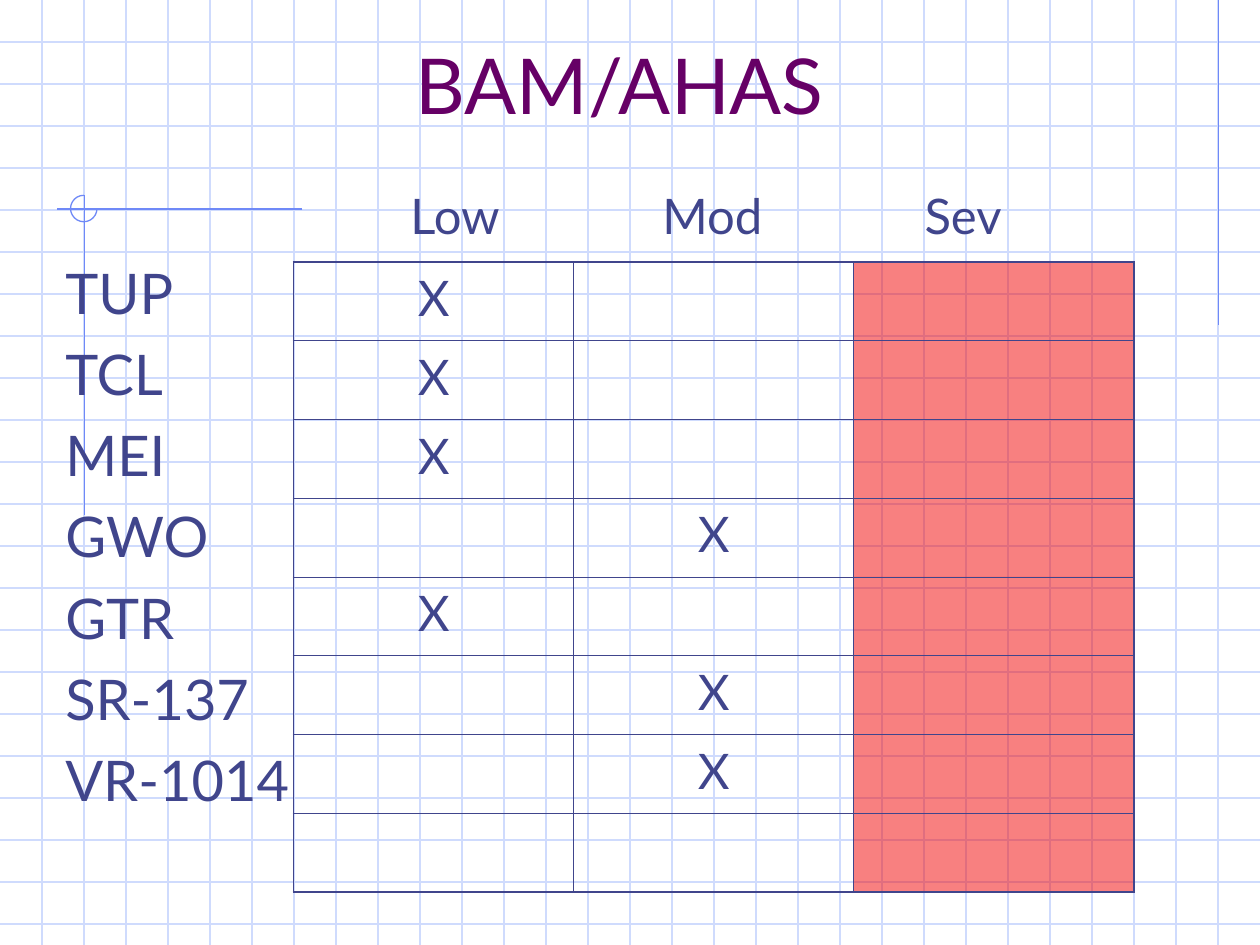
from lxml.etree import SubElement
from pptx import Presentation
from pptx.dml.color import RGBColor
from pptx.enum.shapes import MSO_CONNECTOR, MSO_SHAPE
from pptx.enum.text import MSO_ANCHOR, PP_ALIGN
from pptx.oxml.ns import qn
from pptx.util import Inches, Pt

COLORS = {
    "grid": "CFDBFD",
    "accent": "6F89F7",
    "title": "660066",
    "text": "40458C",
    "severe": "F20202",
}
FONT = "Lato"
WIDTH, HEIGHT = 10, 7.5
LEVELS = ["Low", "Mod", "Sev"]
RATINGS = {
    "TUP": "Low",
    "TCL": "Low",
    "MEI": "Low",
    "GWO": "Mod",
    "GTR": "Low",
    "SR-137": "Mod",
    "VR-1014": "Mod",
}
ROWS = len(RATINGS) + 1  # the last row stays empty
THIN, THICK = 0.45, 1.08


def color(name):
    return RGBColor.from_string(COLORS[name])


def add_line(page, x1, y1, x2, y2, color_name):
    line = page.shapes.add_connector(
        MSO_CONNECTOR.STRAIGHT, Inches(x1), Inches(y1), Inches(x2), Inches(y2))
    line.line.color.rgb = color(color_name)
    line.line.width = Pt(0.75)
    SubElement(line._element.spPr, qn("a:effectLst"))


def style_paragraph(para, size, color_name="text", align=PP_ALIGN.LEFT, before=0):
    para.alignment = align
    para.space_before = Pt(before)
    para.font.name = FONT
    para.font.size = Pt(size)
    para.font.color.rgb = color(color_name)


def add_text(page, left, top, width, height, lines, size, anchor=MSO_ANCHOR.TOP,
             **style):
    box = page.shapes.add_textbox(
        Inches(left), Inches(top), Inches(width), Inches(height))
    frame = box.text_frame
    frame.word_wrap = True
    frame.vertical_anchor = anchor
    frame.text = "\n".join(lines)
    for para in frame.paragraphs:
        style_paragraph(para, size, **style)
    return box


def set_tab_stops(para, stops):
    tab_list = SubElement(para._p.get_or_add_pPr(), qn("a:tabLst"))
    # Tab stops come before the default run properties
    tab_list.getnext() is None and para._p.pPr.insert(
        para._p.pPr.index(para._p.pPr.find(qn("a:defRPr"))), tab_list)
    for stop in stops:
        SubElement(tab_list, qn("a:tab"), pos=str(Inches(stop)), algn="l")


def set_borders(cell, widths):
    # Borders come before the fill, in the order left, right, top, bottom
    properties = cell._tc.get_or_add_tcPr()
    for index, (side, width) in enumerate(zip("LRTB", widths)):
        border = SubElement(properties, qn(f"a:ln{side}"), w=str(Pt(width)))
        fill = SubElement(border, qn("a:solidFill"))
        SubElement(fill, qn("a:srgbClr"), val=COLORS["text"])
        properties.insert(index, border)


def fill_cell(cell, severe):
    if not severe:
        cell.fill.background()
        return
    cell.fill.solid()
    cell.fill.fore_color.rgb = color("severe")
    tint = cell._tc.tcPr.find(".//" + qn("a:srgbClr"))
    SubElement(tint, qn("a:alpha"), val="50000")


def add_background(page):
    # Grid of squares, three to the inch
    for step in range(1, int(HEIGHT * 3) + 1):
        add_line(page, 0, step / 3, WIDTH, step / 3, "grid")
    for step in range(1, WIDTH * 3):
        add_line(page, step / 3, 0, step / 3, HEIGHT, "grid")

    # Accent lines
    add_line(page, 9.67, 0, 9.67, 2.58, "accent")
    add_line(page, 2.4, 1.66, 0.45, 1.66, "accent")
    add_line(page, 0.67, 1.55, 0.67, 4.09, "accent")

    # Three-quarter ring where the accent lines cross
    ring = page.shapes.add_shape(
        MSO_SHAPE.ARC, Inches(0.56), Inches(1.55), Inches(0.21), Inches(0.21))
    ring.adjustments[0] = 0
    ring.adjustments[1] = 162  # 270 degrees
    ring.shadow.inherit = False
    ring.fill.background()
    ring.line.color.rgb = color("accent")
    ring.line.width = Pt(0.75)


def add_rating_table(page):
    last_row, last_column = ROWS - 1, len(LEVELS) - 1
    table = page.shapes.add_table(
        ROWS, len(LEVELS), Inches(2.33), Inches(2.08), Inches(6.67), Inches(5)).table
    table.first_row = False
    table.horz_banding = False
    ratings = list(RATINGS.values()) + [None]
    for r, rating in enumerate(ratings):
        for c, level in enumerate(LEVELS):
            cell = table.cell(r, c)
            fill_cell(cell, level == "Sev")
            outer = (c == 0, c == last_column, r == 0, r == last_row)
            set_borders(cell, [THICK if edge else THIN for edge in outer])
            if level == rating:
                cell.text = "X"
                style_paragraph(cell.text_frame.paragraphs[0], 28,
                                align=PP_ALIGN.CENTER, before=7)


def main():
    deck = Presentation()
    deck.slide_width, deck.slide_height = Inches(WIDTH), Inches(HEIGHT)
    page = deck.slides.add_slide(deck.slide_layouts[6])

    add_background(page)

    # Title and row names
    add_text(page, 0.67, 0.33, 8.5, 0.75, ["BAM/AHAS"], 44, MSO_ANCHOR.BOTTOM,
             color_name="title", align=PP_ALIGN.CENTER)
    add_text(page, 0.42, 2, 2.08, 5.25, RATINGS, 32, before=8)

    # Ratings with their column headings
    add_rating_table(page)
    headings = add_text(page, 3.16, 1.42, 4.97, 0.57, ["\t".join(LEVELS)], 28)
    set_tab_stops(headings.text_frame.paragraphs[0], [2, 4.08])

    deck.save("out.pptx")


if __name__ == "__main__":
    main()
